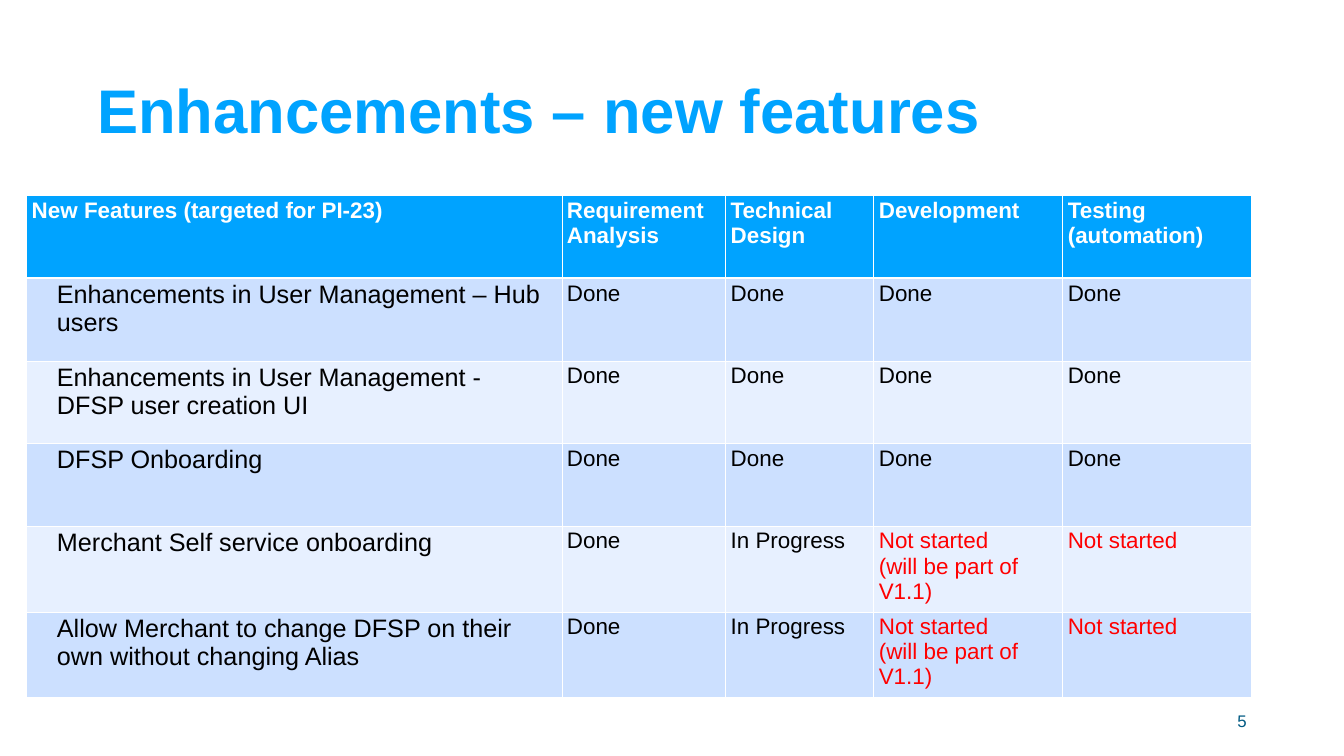
from lxml.etree import SubElement
from pptx import Presentation
from pptx.dml.color import RGBColor
from pptx.enum.text import MSO_ANCHOR, PP_ALIGN
from pptx.oxml.ns import qn
from pptx.util import Inches, Pt

FONT = "Arial"
COLORS = {
    "blue": "00A3FF",
    "band_dark": "CCE0FF",
    "band_light": "E7F0FF",
    "white": "FFFFFF",
    "black": "000000",
    "red": "FF0000",
    "page": "005A83",
}

HEADERS = ["New Features (targeted for PI-23)", "Requirement Analysis",
           "Technical Design", "Development", "Testing (automation)"]
ALL_DONE = ["Done"] * 4
DEFERRED = ["Done", "In Progress",
            "Not started\n(will be part of V1.1)", "Not started"]
FEATURES = [
    ("Enhancements in User Management – Hub users", ALL_DONE),
    ("Enhancements in User Management -\vDFSP user creation UI", ALL_DONE),
    ("DFSP Onboarding", ALL_DONE),
    ("Merchant Self service onboarding", DEFERRED),
    ("Allow Merchant to change DFSP on their own without changing Alias",
     DEFERRED),
]
COL_WIDTHS = [10.62, 3.25, 2.94, 3.75, 3.75]
ROW_HEIGHT = 1.64


def rgb(name):
    return RGBColor.from_string(COLORS[name])


def write(tf, text, size, color, bold=False):
    """Fill a text frame with one paragraph per line."""
    tf.text = text
    for p in tf.paragraphs:
        p.font.name = FONT
        p.font.size = Pt(size)
        p.font.bold = bold
        p.font.color.rgb = rgb(color)


def add_text(slide, box, text, size, color, bold=False,
             align=PP_ALIGN.LEFT, spacing=1.0):
    tf = slide.shapes.add_textbox(*map(Inches, box)).text_frame
    tf.word_wrap = True
    tf.vertical_anchor = MSO_ANCHOR.MIDDLE
    write(tf, text, size, color, bold)
    p = tf.paragraphs[0]
    p.alignment = align
    p.line_spacing = spacing


def set_borders(cell, bottom=1):
    tc_pr = cell._tc.get_or_add_tcPr()
    for side, width in (("L", 1), ("R", 1), ("T", 1), ("B", bottom)):
        ln = SubElement(tc_pr, qn(f"a:ln{side}"), w=str(Pt(width)))
        fill = SubElement(ln, qn("a:solidFill"))
        SubElement(fill, qn("a:srgbClr"), val=COLORS["white"])


def style_cell(cell, text, size, color, fill, bold=False, bottom=1):
    set_borders(cell, bottom)
    cell.fill.solid()
    cell.fill.fore_color.rgb = rgb(fill)
    write(cell.text_frame, text, size, color, bold)


def add_feature_table(slide):
    rows = len(FEATURES) + 1
    table = slide.shapes.add_table(
        rows, len(HEADERS), Inches(0.53), Inches(3.88),
        Inches(sum(COL_WIDTHS)), Inches(rows * ROW_HEIGHT)).table
    for column, width in zip(table.columns, COL_WIDTHS):
        column.width = Inches(width)
    for row in table.rows:
        row.height = Inches(ROW_HEIGHT)

    # Header row
    for c, header in enumerate(HEADERS):
        style_cell(table.cell(0, c), header, 32, "white", "blue",
                   bold=True, bottom=3)

    # Feature rows: indented name, then one status per stage
    for r, (feature, statuses) in enumerate(FEATURES, start=1):
        band = "band_dark" if r % 2 else "band_light"
        name_cell = table.cell(r, 0)
        style_cell(name_cell, feature, 36, "black", band)
        p = name_cell.text_frame.paragraphs[0]
        p.level = 1
        p_pr = p._p.get_or_add_pPr()
        p_pr.set("marL", str(Inches(0.5)))
        p_pr.set("indent", "0")
        for c, status in enumerate(statuses, start=1):
            color = "red" if status.startswith("Not started") else "black"
            style_cell(table.cell(r, c), status, 32, color, band)


def main():
    prs = Presentation()
    prs.slide_width = Inches(26.67)
    prs.slide_height = Inches(15)
    slide = prs.slides.add_slide(prs.slide_layouts[6])

    # Title
    add_text(slide, (1.83, 0.8, 20.88, 2.9), "Enhancements – new features",
             88, "blue", bold=True, spacing=0.9)

    # Page number
    add_text(slide, (18.84, 13.9, 6, 0.8), "5", 24, "page",
             align=PP_ALIGN.RIGHT)

    # Status table
    add_feature_table(slide)

    prs.save("out.pptx")


if __name__ == "__main__":
    main()
